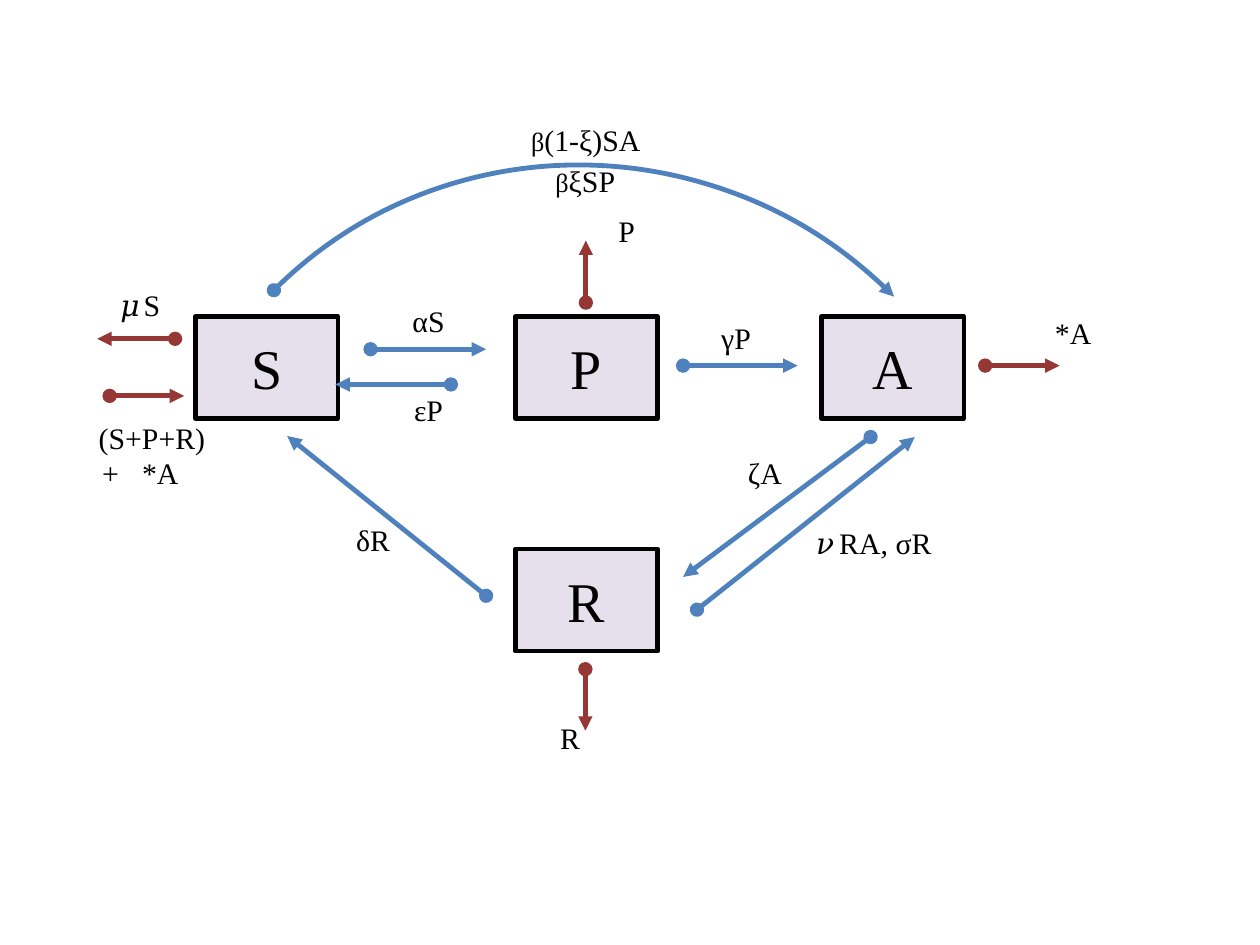
from dataclasses import dataclass

from lxml.etree import SubElement
from pptx import Presentation
from pptx.dml.color import RGBColor
from pptx.enum.shapes import MSO_CONNECTOR, MSO_SHAPE
from pptx.enum.text import MSO_ANCHOR, PP_ALIGN
from pptx.oxml.ns import qn
from pptx.slide import Slide
from pptx.util import Cm, Pt


@dataclass(frozen=True)
class Theme:
    font: str = "Times New Roman"
    text: RGBColor = RGBColor(0x00, 0x00, 0x00)
    box_fill: RGBColor = RGBColor(0xE6, 0xE0, 0xEC)
    transfer: RGBColor = RGBColor(0x4F, 0x81, 0xBD)
    turnover: RGBColor = RGBColor(0x95, 0x37, 0x35)
    box_size: Pt = Pt(32)
    label_size: Pt = Pt(17)
    small_size: Pt = Pt(15)
    box_line: Pt = Pt(2.5)
    arrow_line: Pt = Pt(2.75)


THEME = Theme()


# Lengths in the records below are centimetres
@dataclass(frozen=True)
class Compartment:
    name: str
    left: float
    top: float


@dataclass(frozen=True)
class Flow:
    start: tuple[float, float]
    end: tuple[float, float]
    color: RGBColor = THEME.transfer


@dataclass(frozen=True)
class Label:
    text: str
    left: float
    top: float
    width: float = 2.34
    small_prefix: str = ""


BOX_WIDTH, BOX_HEIGHT = 2.87, 2.06
LABEL_HEIGHT = 0.99
UPPER_ROW, LOWER_ROW = 6.38, 11.07
MIDDLE_COLUMN = 10.39

COMPARTMENTS = [
    Compartment("S", 3.94, UPPER_ROW),
    Compartment("A", 16.56, UPPER_ROW),
    Compartment("R", MIDDLE_COLUMN, LOWER_ROW),
    Compartment("P", MIDDLE_COLUMN, UPPER_ROW),
]

FLOWS = [
    # Transfers between compartments
    Flow((7.47, 7.04), (9.8, 7.04)),
    Flow((9.09, 7.75), (6.76, 7.75)),
    Flow((13.77, 7.37), (16.08, 7.37)),
    Flow((9.8, 12.01), (5.79, 8.79)),
    Flow((14.05, 12.29), (18.44, 8.81)),
    Flow((17.55, 8.81), (13.77, 11.63)),
    # Births and deaths
    Flow((3.53, 6.83), (1.96, 6.83), THEME.turnover),
    Flow((2.21, 7.98), (3.71, 7.98), THEME.turnover),
    Flow((19.86, 7.37), (21.36, 7.37), THEME.turnover),
    Flow((11.8, 13.49), (11.8, 14.73), THEME.turnover),
    Flow((11.81, 6.1), (11.81, 4.85), THEME.turnover),
]

LABELS = [
    Label("(1-ξ)SA", 10.31, 2.34, 3, small_prefix="β"),
    Label("𝜇S", 1.83, 5.66, 2),
    Label("αS", 7.47, 5.97),
    Label("εP", 7.47, 7.77),
    Label("γP", 13.67, 6.32),
    Label("ζA", 14.25, 9.04),
    Label("𝜈RA, σR", 16, 10.46, 3.23),
    Label("δR", 6.35, 10.39),
    Label("𝜇P", 11.4, 4.17, 2),
    Label("𝜇R", 10.26, 14.38, 2),
    Label("𝜇*A", 20.4, 6.22, 2),
    Label("ξSP", 10.8, 3.15, 2, small_prefix="β"),
    Label("𝜇(S+P+R)+𝜇*A", 0.53, 8.33, 4.6),
]


def style_paragraph(paragraph, size: Pt) -> None:
    paragraph.alignment = PP_ALIGN.CENTER
    paragraph.font.name = THEME.font
    paragraph.font.size = size
    paragraph.font.color.rgb = THEME.text


def style_arrow(shape, color: RGBColor) -> None:
    """Line with a round start and a triangular tip."""
    shape.line.color.rgb = color
    shape.line.width = THEME.arrow_line
    line = shape.get_or_add_ln()
    SubElement(line, qn("a:headEnd"), type="oval")
    SubElement(line, qn("a:tailEnd"), type="triangle")


def draw_compartment(slide: Slide, item: Compartment) -> None:
    shape = slide.shapes.add_shape(
        MSO_SHAPE.RECTANGLE, Cm(item.left), Cm(item.top), Cm(BOX_WIDTH), Cm(BOX_HEIGHT)
    )
    shape.shadow.inherit = False
    shape.fill.solid()
    shape.fill.fore_color.rgb = THEME.box_fill
    shape.line.color.rgb = THEME.text
    shape.line.width = THEME.box_line
    shape.text_frame.vertical_anchor = MSO_ANCHOR.MIDDLE
    paragraph = shape.text_frame.paragraphs[0]
    paragraph.add_run().text = item.name
    style_paragraph(paragraph, THEME.box_size)


def draw_flow(slide: Slide, flow: Flow) -> None:
    connector = slide.shapes.add_connector(
        MSO_CONNECTOR.STRAIGHT, *(Cm(value) for value in flow.start + flow.end)
    )
    style_arrow(connector, flow.color)
    SubElement(connector.element.spPr, qn("a:effectLst"))


def draw_arc(slide: Slide) -> None:
    arc = slide.shapes.add_shape(MSO_SHAPE.ARC, Cm(3.05), Cm(3.25), Cm(17.53), Cm(17.83))
    arc.rotation = 315.1
    arc.shadow.inherit = False
    arc.fill.background()
    style_arrow(arc, THEME.transfer)


def draw_label(slide: Slide, label: Label) -> None:
    box = slide.shapes.add_textbox(
        Cm(label.left), Cm(label.top), Cm(label.width), Cm(LABEL_HEIGHT)
    )
    box.text_frame.word_wrap = True
    paragraph = box.text_frame.paragraphs[0]
    style_paragraph(paragraph, THEME.label_size)
    if label.small_prefix:
        prefix = paragraph.add_run()
        prefix.text = label.small_prefix
        prefix.font.size = THEME.small_size
    paragraph.add_run().text = label.text


def main() -> None:
    presentation = Presentation()
    presentation.slide_width, presentation.slide_height = Cm(25.4), Cm(19.05)
    slide = presentation.slides.add_slide(presentation.slide_layouts[6])

    # Compartments
    for compartment in COMPARTMENTS:
        draw_compartment(slide, compartment)

    # Arrows, with the arc running from S to A
    for flow in FLOWS:
        draw_flow(slide, flow)
    draw_arc(slide)

    # Rates
    for label in LABELS:
        draw_label(slide, label)

    presentation.save("out.pptx")


if __name__ == "__main__":
    main()
